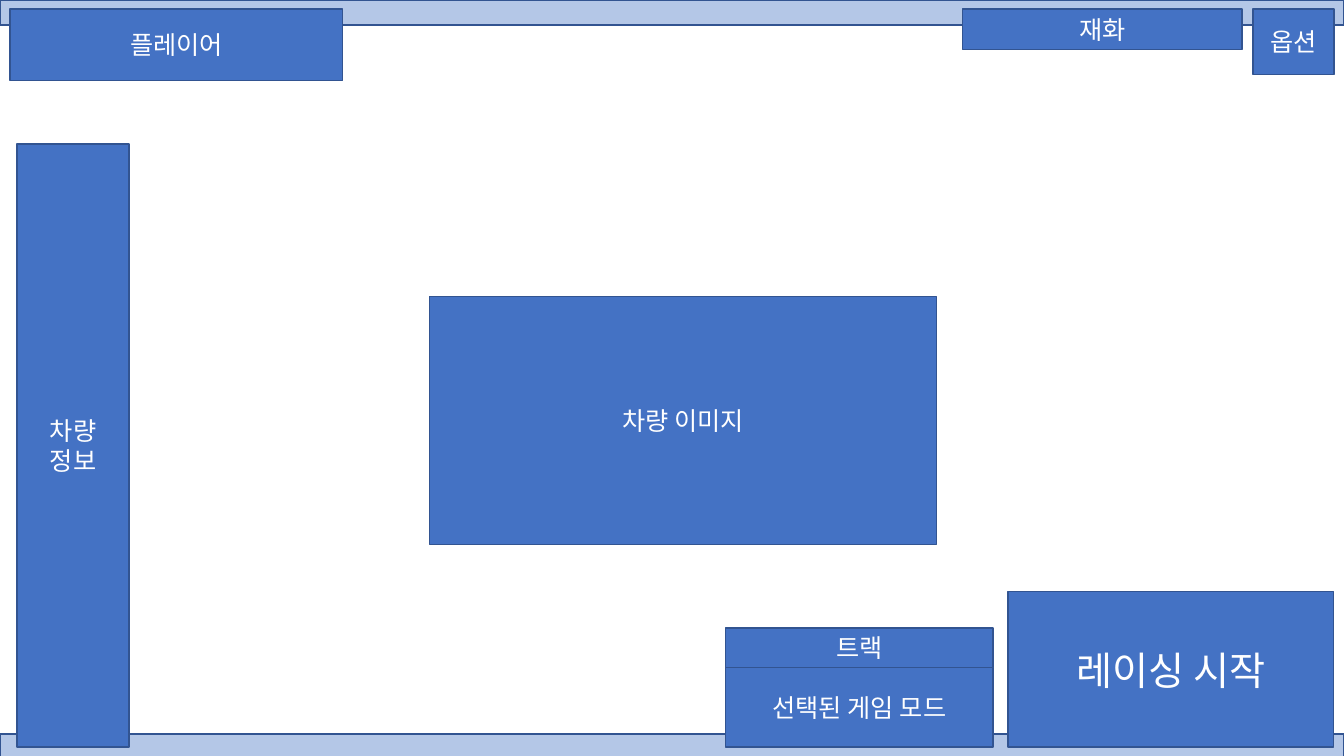
from lxml.etree import SubElement
from pptx import Presentation
from pptx.dml.color import RGBColor
from pptx.enum.shapes import MSO_SHAPE as Shape
from pptx.enum.text import MSO_ANCHOR as Anchor, PP_ALIGN as Align
from pptx.oxml.ns import qn
from pptx.util import Inches, Pt

WIDTH, HEIGHT = Inches(13.333), Inches(7.5)
FONT = "Noto Sans CJK KR"
COLORS = {"bar": "B4C7E7", "panel": "4472C4", "line": "325491", "text": "FFFFFF"}

# Edges shared by several panels, in percent of the slide's size
TOP, BOTTOM, RIGHT = 1.2, 98.8, 99.25
BAR_HEIGHT = 3.33
BAR_TOPS = (97.07, 0)
MODE_LEFT, MODE_TOP, MODE_RIGHT = 54, 88.27, 73.88

# Text, (left, top, right, bottom) in percent, text size
PANELS = [
    ("선택된 게임 모드", (MODE_LEFT, MODE_TOP, MODE_RIGHT, BOTTOM), 18),
    ("레이싱 시작", (75, 78.27, RIGHT, BOTTOM), 28),
    ("플레이어", (0.75, TOP, 25.5, 10.67), 18),
    ("차량 이미지", (31.95, 39.2, 69.68, 72), 18),
    ("옵션", (93.23, TOP, RIGHT, 9.87), 18),
    ("재화", (71.63, TOP, 92.41, 6.53), 18),
    ("차량\n정보", (1.28, 19.07, 9.6, BOTTOM), 18),
    ("트랙", (MODE_LEFT, 83.07, MODE_RIGHT, MODE_TOP), 18),
]


def add_box(s, edges, fill):
    """Add an outlined rectangle from its edges in percent of the slide."""
    left, top, right, bottom = edges
    sp = s.shapes.add_shape(
        Shape.RECTANGLE,
        int(WIDTH * left / 100),
        int(HEIGHT * top / 100),
        int(WIDTH * (right - left) / 100),
        int(HEIGHT * (bottom - top) / 100),
    )
    sp.shadow.inherit = False
    sp.fill.solid()
    sp.fill.fore_color.rgb = RGBColor.from_string(COLORS[fill])
    sp.line.color.rgb = RGBColor.from_string(COLORS["line"])
    sp.line.width = Pt(1)
    return sp


def format_run(r, size):
    for name, value in {"name": FONT, "size": Pt(size)}.items():
        setattr(r.font, name, value)
    r.font.color.rgb = RGBColor.from_string(COLORS["text"])
    SubElement(r.font._element, qn("a:ea"), typeface=FONT)


def add_panel(s, text, edges, size):
    tf = add_box(s, edges, "panel").text_frame
    for name, value in {"text": text, "word_wrap": True,
                        "vertical_anchor": Anchor.MIDDLE}.items():
        setattr(tf, name, value)
    for p in tf.paragraphs:
        p.alignment = Align.CENTER
        for r in p.runs:
            format_run(r, size)


def main():
    prs = Presentation()
    prs.slide_width, prs.slide_height = WIDTH, HEIGHT
    s = prs.slides.add_slide(prs.slide_layouts[6])
    for top in BAR_TOPS:
        add_box(s, (0, top, 100, top + BAR_HEIGHT), "bar")
    for text, edges, size in PANELS:
        add_panel(s, text, edges, size)
    prs.save("out.pptx")


if __name__ == "__main__":
    main()
